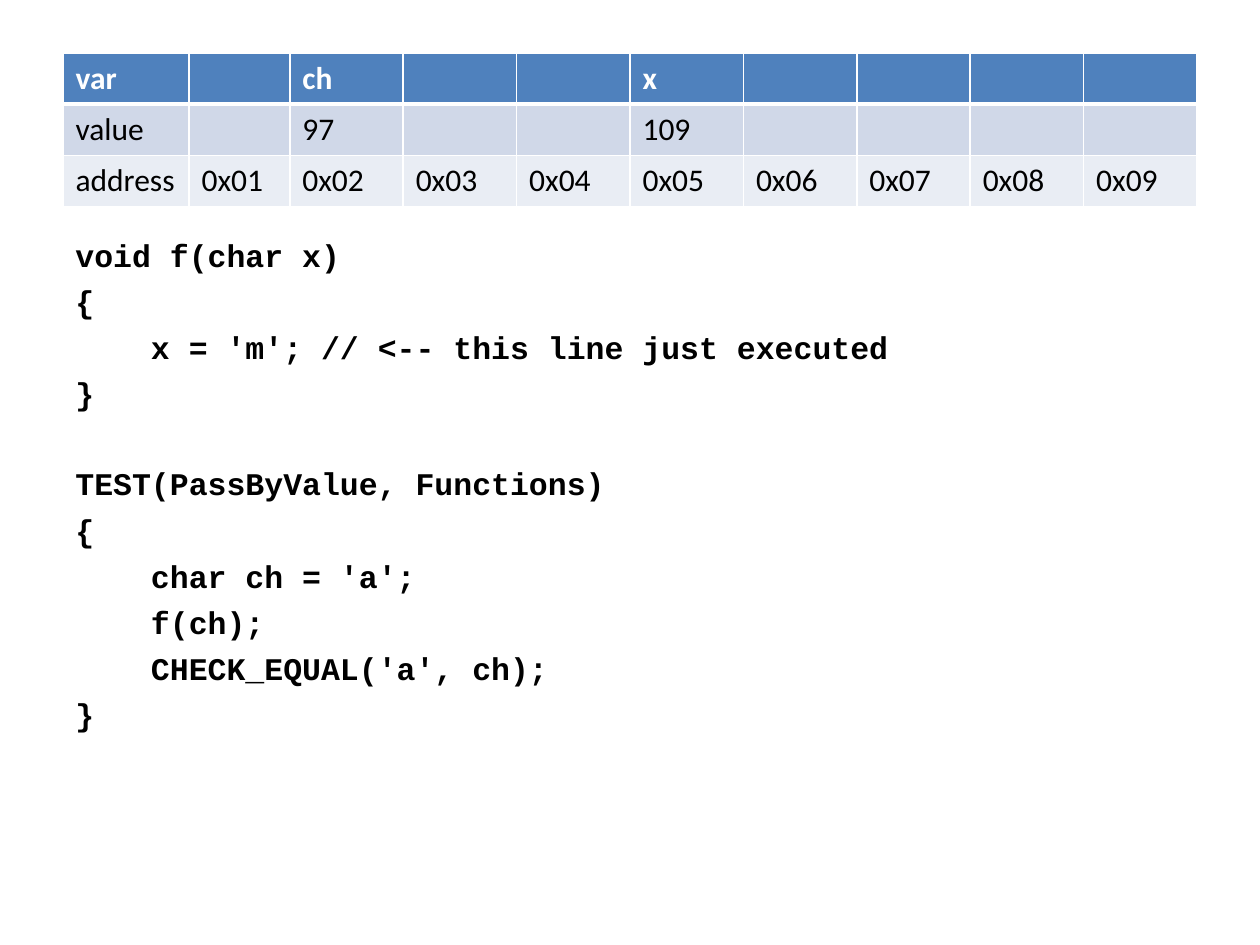
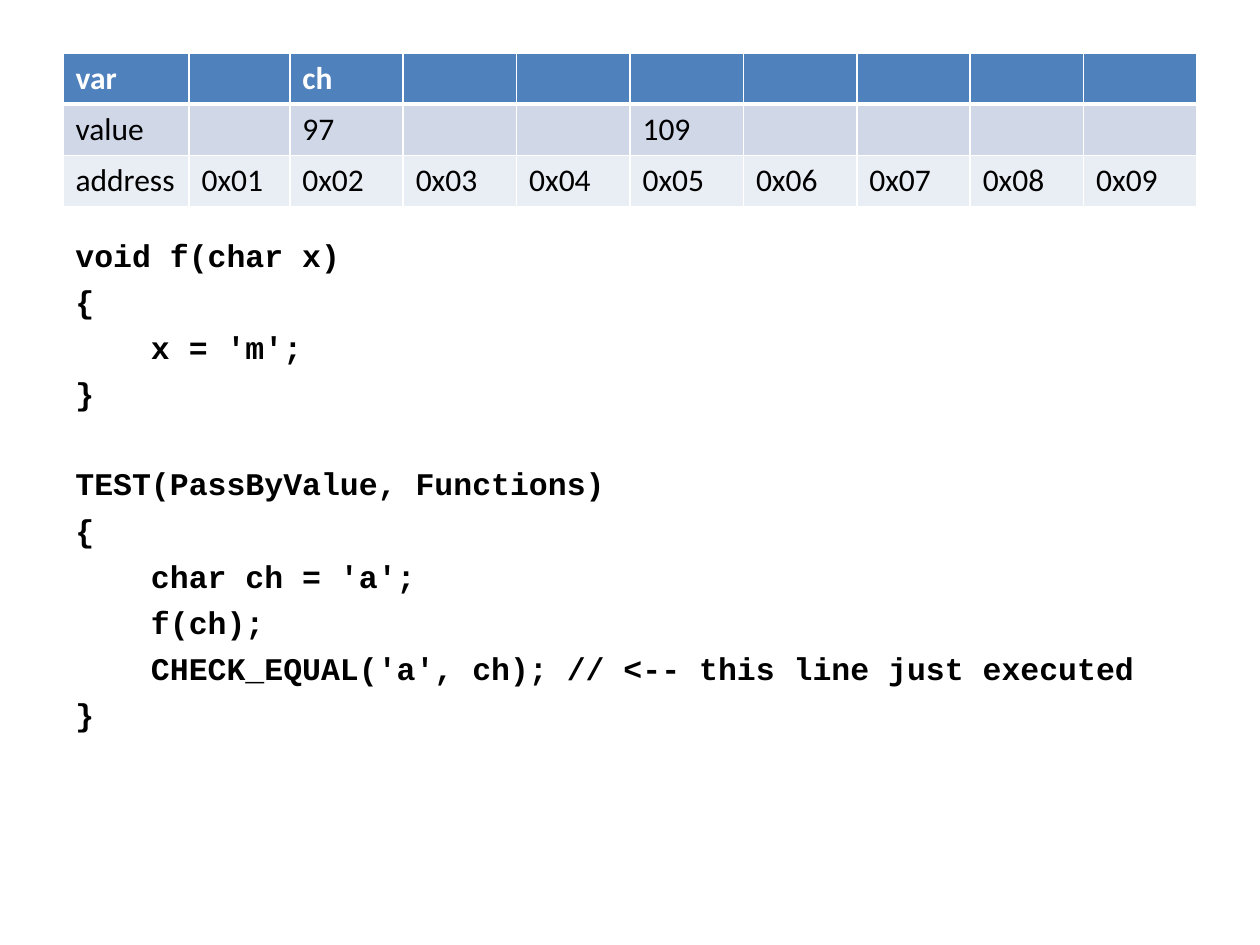
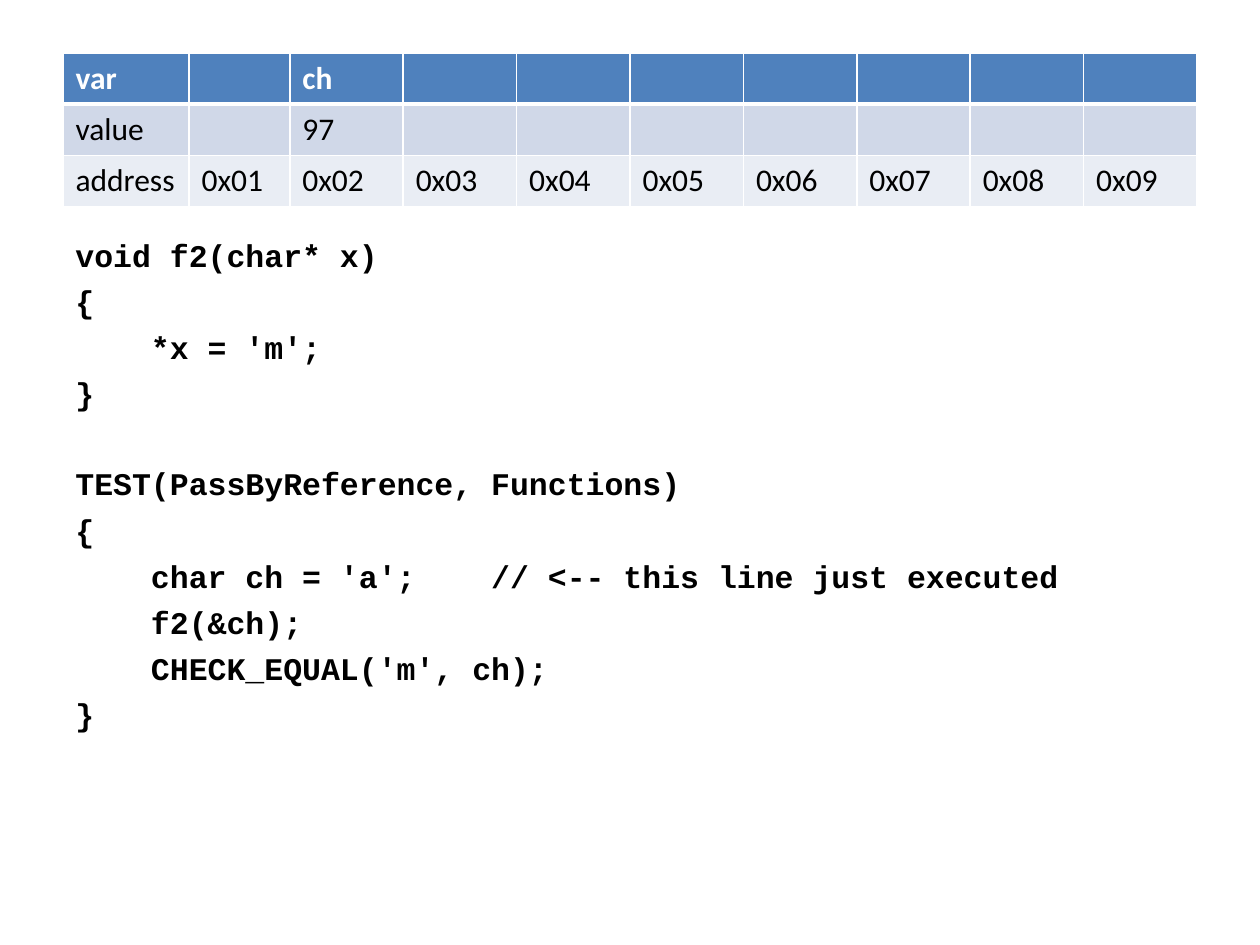
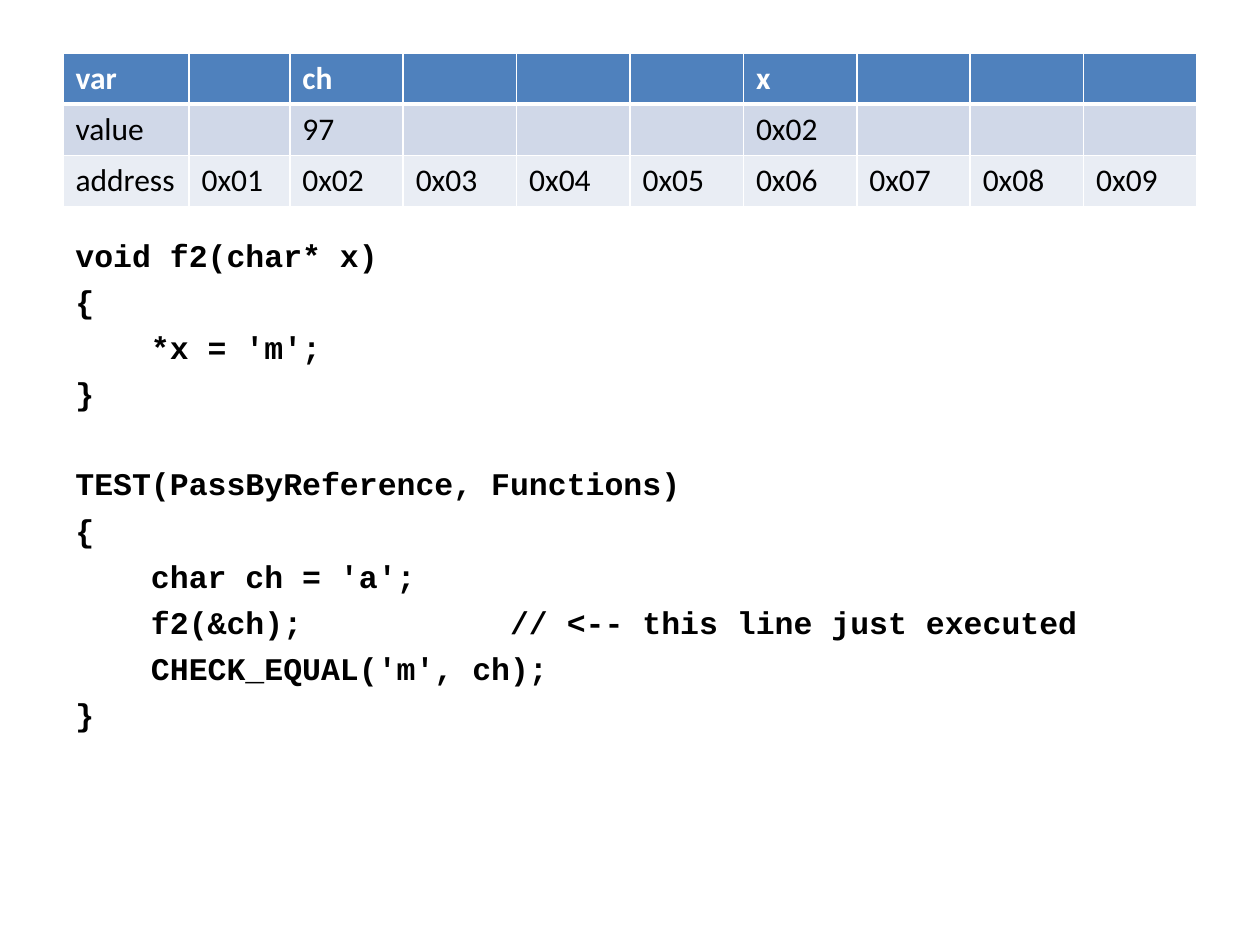
from dataclasses import dataclass
from lxml import etree
from pptx import Presentation
from pptx.dml.color import RGBColor
from pptx.oxml.ns import qn
from pptx.util import Inches, Pt

# Content: each program is a list of blocks, each block a list of code lines
BY_VALUE = [
    ["void f(char x)", "{", "    x = 'm';", "}"],
    ["TEST(PassByValue, Functions)", "{", "    char ch = 'a';", "    f(ch);",
     "    CHECK_EQUAL('a', ch);", "}"],
]
BY_REFERENCE = [
    ["void f2(char* x)", "{", "    *x = 'm';", "}"],
    ["TEST(PassByReference, Functions)", "{", "    char ch = 'a';", "    f2(&ch);",
     "    CHECK_EQUAL('m', ch);", "}"],
]
MARKER = "// <-- this line just executed"
ROW_LABELS = ("var", "value", "address")
ADDRESSES = [f"0x{n:02}" for n in range(1, 10)]

# program, (block, line) just executed, column of the marker,
# memory as address -> (variable, value)
STEPS = [
    (BY_VALUE, (0, 2), 13, {"0x02": ("ch", "97"), "0x05": ("x", "109")}),
    (BY_VALUE, (1, 4), 26, {"0x02": ("ch", "97"), "0x05": ("", "109")}),
    (BY_REFERENCE, (1, 2), 22, {"0x02": ("ch", "97")}),
    (BY_REFERENCE, (1, 3), 23, {"0x02": ("ch", "97"), "0x06": ("x", "0x02")}),
]


@dataclass(frozen=True)
class Theme:
    row_fills: tuple = ("4F81BD", "D0D8E8", "E9EDF4")
    light: str = "FFFFFF"
    dark: str = "000000"
    table_font: str = "Calibri"
    code_font: str = "Courier New"
    size: int = 18
    line_gap: float = 4.8
    block_gap: float = 30
    rule: int = 1
    header_rule: int = 3


THEME = Theme()

# Layout in inches
SLIDE_W, SLIDE_H = 10, 7.5
MARGIN = 0.5
CONTENT_W = SLIDE_W - 2 * MARGIN
TABLE_TOP, TABLE_H = 0.42, 1.22
CODE_TOP, CODE_H = 1.75, 4.95
CODE_INSET_TOP = 0.12
COL_WIDTHS = [1, 0.8] + [0.9] * (len(ADDRESSES) - 1)


def add_run(p, text, font, color, bold):
    r = p.add_run()
    r.text = text
    r.font.name = font
    r.font.size = Pt(THEME.size)
    r.font.bold = bold
    r.font.color.rgb = RGBColor.from_string(color)


def set_borders(cell, widths):
    """Draw light borders; widths run left, right, top, bottom."""
    tc_pr = cell._tc.get_or_add_tcPr()
    for i, (side, width) in enumerate(zip(("lnL", "lnR", "lnT", "lnB"), widths)):
        ln = etree.Element(qn(f"a:{side}"), w=str(Pt(width)))
        fill = etree.SubElement(ln, qn("a:solidFill"))
        etree.SubElement(fill, qn("a:srgbClr"), val=THEME.light)
        tc_pr.insert(i, ln)


def add_memory_table(s, memory):
    cells = [memory.get(address, ("", "")) for address in ADDRESSES]
    rows = [[var for var, _ in cells], [value for _, value in cells], ADDRESSES]
    table = s.shapes.add_table(len(rows), len(COL_WIDTHS), Inches(MARGIN), Inches(TABLE_TOP),
                               Inches(CONTENT_W), Inches(TABLE_H)).table
    for column, width in zip(table.columns, COL_WIDTHS):
        column.width = Inches(width)
    for i, (label, row) in enumerate(zip(ROW_LABELS, rows)):
        header = i == 0
        top = THEME.header_rule if i == 1 else THEME.rule
        bottom = THEME.header_rule if header else THEME.rule
        for j, text in enumerate([label, *row]):
            cell = table.cell(i, j)
            cell.fill.solid()
            cell.fill.fore_color.rgb = RGBColor.from_string(THEME.row_fills[i])
            set_borders(cell, (THEME.rule, THEME.rule, top, bottom))
            if text:
                add_run(cell.text_frame.paragraphs[0], text, THEME.table_font,
                        THEME.light if header else THEME.dark, header)


def add_code(s, program, executed, column):
    tf = s.shapes.add_textbox(Inches(MARGIN), Inches(CODE_TOP),
                              Inches(CONTENT_W), Inches(CODE_H)).text_frame
    tf.word_wrap = True
    tf.margin_top = Inches(CODE_INSET_TOP)
    for b, block in enumerate(program):
        for n, line in enumerate(block):
            if b == n == 0:
                p = tf.paragraphs[0]
            else:
                p = tf.add_paragraph()
                p.space_before = Pt(THEME.line_gap if n else THEME.block_gap)
            if (b, n) == executed:
                line = line.ljust(column) + MARKER
            add_run(p, line, THEME.code_font, THEME.dark, True)


def main():
    prs = Presentation()
    prs.slide_width, prs.slide_height = Inches(SLIDE_W), Inches(SLIDE_H)
    blank = prs.slide_layouts[6]
    for program, executed, column, memory in STEPS:
        s = prs.slides.add_slide(blank)
        add_code(s, program, executed, column)
        add_memory_table(s, memory)
    prs.save("out.pptx")


if __name__ == "__main__":
    main()
